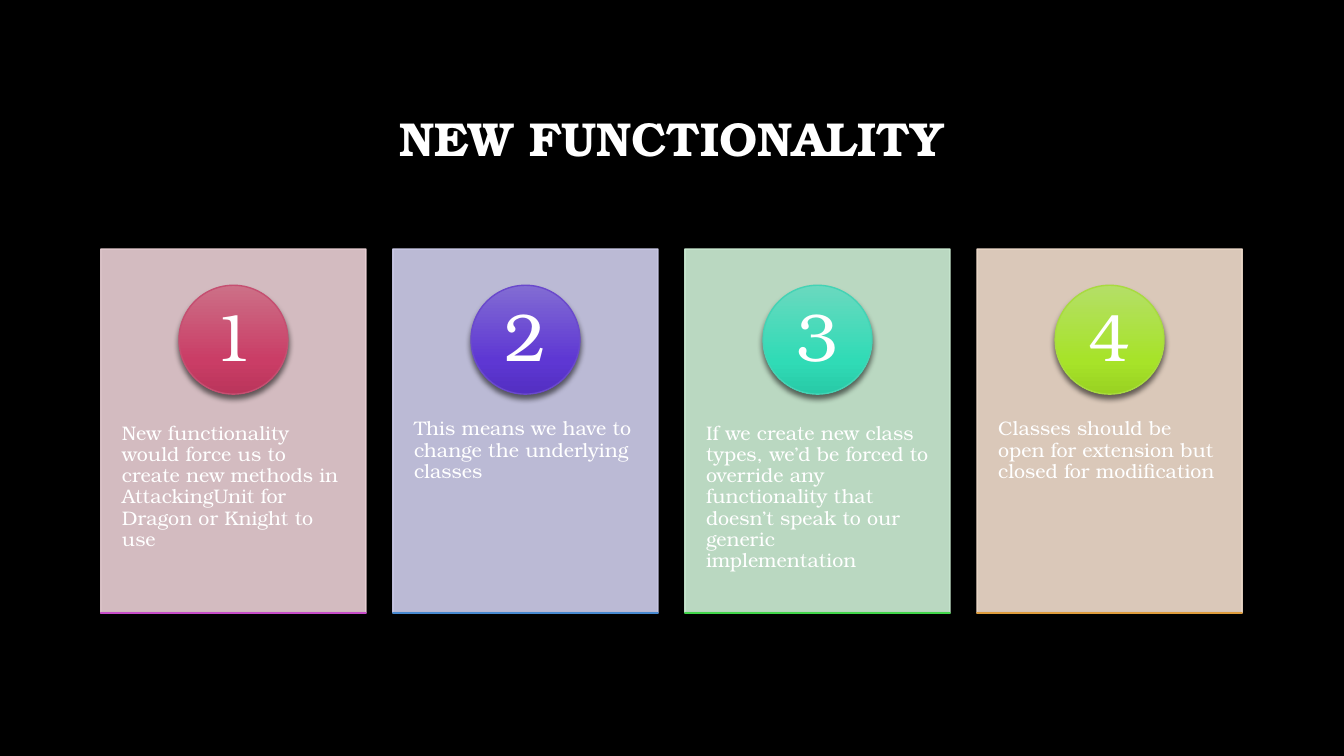
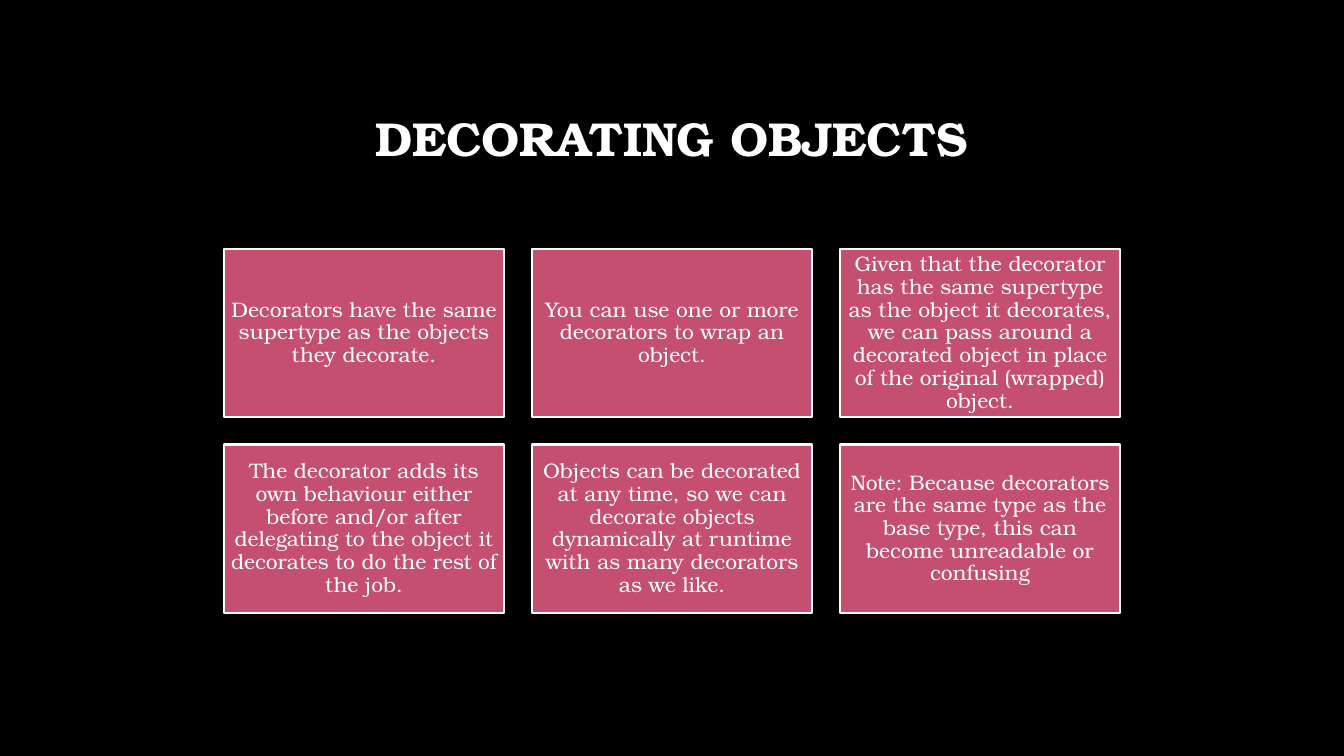
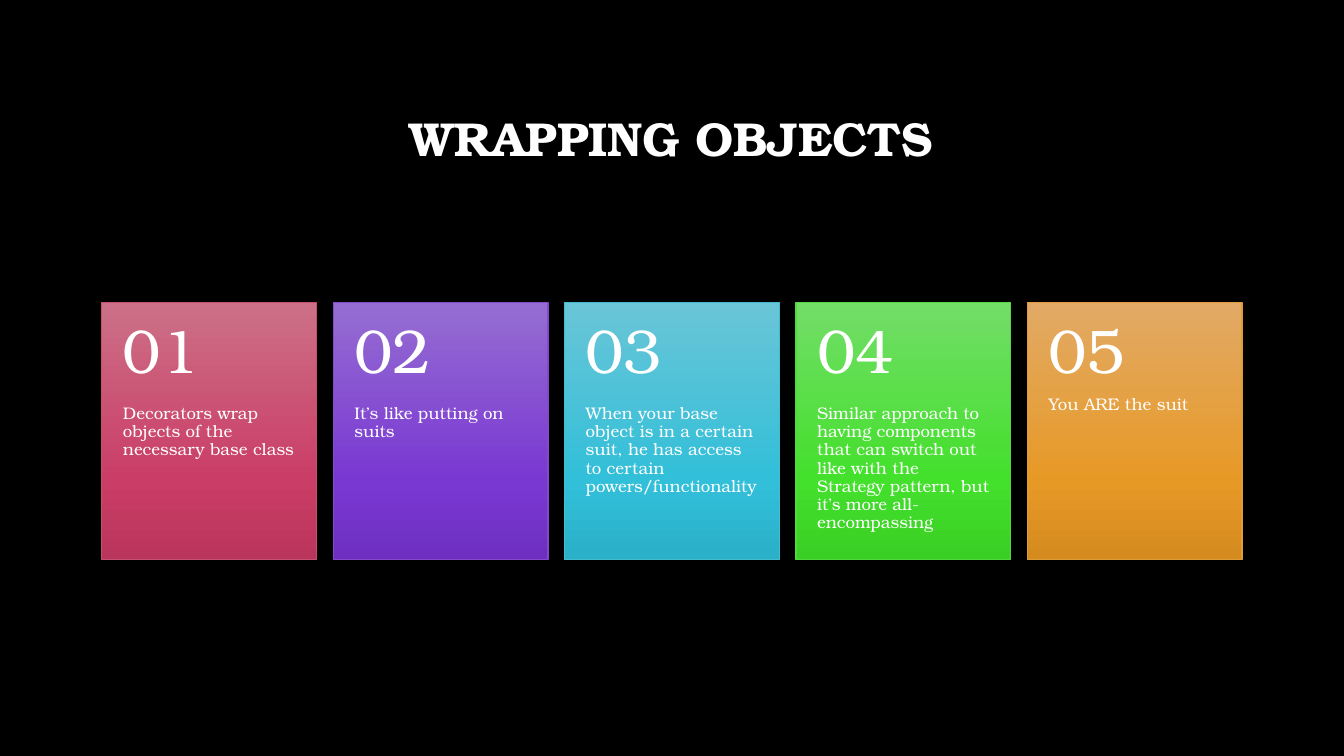
import dataclasses
from typing import Any, NamedTuple, Optional

import lxml.etree
import pptx
import pptx.dml.color
import pptx.enum.shapes
import pptx.enum.text
import pptx.oxml.ns
import pptx.util

Inches = pptx.util.Inches
ALIGN = pptx.enum.text.PP_ALIGN
ANCHOR = pptx.enum.text.MSO_ANCHOR
SHAPE = pptx.enum.shapes.MSO_SHAPE


class Tone(NamedTuple):
    """Gradient from top to bottom, with its outline colour."""
    light: str
    main: str
    dark: str
    edge: str


ROSE = Tone("CC7087", "CA3D66", "BA355B", "C54F71")
MAGENTA = Tone("CD6ECF", "CC3ACE", "BB32BE", "C64CC9")
VIOLET = Tone("826CD3", "5E37D3", "532FC2", "6A49CC")
PURPLE = Tone("956DD2", "7A38D2", "6E2FC1", "824ACB")
BLUE = Tone("6B9AD6", "3382D7", "2B76C6", "4789D0")
CYAN = Tone("6AC5D7", "32BFD9", "2AB0C8", "45BCD2")
TEAL = Tone("6AD9BF", "30DBB6", "28CAA7", "44D3B5")
GREEN = Tone("68DC6D", "2DDF37", "25CE2E", "41D74A")
BRIGHT_GREEN = Tone("73DD68", "43E02C", "3ACF24", "54D841")
LIME = Tone("B4DF67", "A7E329", "99D222", "A8DB3F")
ORANGE = Tone("E2AA66", "E79926", "D68B1F", "DE9C3C")


@dataclasses.dataclass(frozen=True)
class Theme:
    font: str = "TeX Gyre Bonum"
    background: str = "000000"
    text: str = "FFFFFF"
    tile: str = "C54F71"
    title_size: float = 34
    disc_size: float = 48
    number_size: float = 44
    card_size: float = 14
    tile_size: float = 15
    panel_size: float = 12
    line_spacing: float = 0.9
    gradient_stops: tuple[int, ...] = (0, 69, 100)


THEME = Theme()


class Box(NamedTuple):
    """Left, top, width and height in inches."""
    left: float
    top: float
    width: float
    height: float

    def lengths(self) -> list[int]:
        return [Inches(value) for value in self]


class Card(NamedTuple):
    message: str
    paper: str
    disc: Tone
    rule: Tone


class Panel(NamedTuple):
    message: str
    tone: Tone


# Content
CARDS = [
    Card("New functionality would force us to create new methods in "
         "AttackingUnit for Dragon or Knight to use", "EAD0D5", ROSE, MAGENTA),
    Card("This means we have to change the underlying classes",
         "D0CFED", VIOLET, BLUE),
    Card("If we create new class types, we’d be forced to override any "
         "functionality that doesn’t speak to our generic implementation",
         "CFF0D7", TEAL, GREEN),
    Card("Classes should be open for extension but closed for modification",
         "F2DECE", LIME, ORANGE),
]
TILES = [
    "Decorators have the same supertype as the objects they decorate.",
    "You can use one or more decorators to wrap an object.",
    "Given that the decorator has the same supertype as the object it "
    "decorates, we can pass around a decorated object in place of the "
    "original (wrapped) object.",
    "The decorator adds its own behaviour either before and/or after "
    "delegating to the object it decorates to do the rest of the job.",
    "Objects can be decorated at any time, so we can decorate objects "
    "dynamically at runtime with as many decorators as we like.",
    "Note: Because decorators are the same type as the base type, this can "
    "become unreadable or confusing",
]
PANELS = [
    Panel("Decorators wrap objects of the necessary base class", ROSE),
    Panel("It’s like putting on suits", PURPLE),
    Panel("When your base object is in a certain suit, he has access to "
          "certain powers/functionality", CYAN),
    Panel("Similar approach to having components that can switch out like "
          "with the Strategy pattern, but it’s more all-encompassing",
          BRIGHT_GREEN),
    Panel("You ARE the suit", ORANGE),
]


# Drawing helpers
def rgb(color: str) -> pptx.dml.color.RGBColor:
    return pptx.dml.color.RGBColor.from_string(color)


def add_xml(parent: Any, tag: str, **attributes: Any) -> Any:
    return lxml.etree.SubElement(
        parent, pptx.oxml.ns.qn(tag),
        {key: str(value) for key, value in attributes.items()})


def spread(left: float, span: float, size: float, count: int) -> list[float]:
    """Starts of equal items that fill the span with equal gaps."""
    step = (span - size) / (count - 1)
    return [left + index * step for index in range(count)]


def write(holder: Any, text: str, *, size: float, bold: bool = False,
          align: Any = ALIGN.LEFT, anchor: Any = ANCHOR.TOP,
          insets: tuple[float, float] = (0.1, 0.05),
          bottom: Optional[float] = None) -> None:
    """Format text; insets are horizontal and vertical."""
    frame = holder.text_frame
    frame.word_wrap = True
    frame.vertical_anchor = anchor
    frame.margin_left = frame.margin_right = Inches(insets[0])
    frame.margin_top = Inches(insets[1])
    frame.margin_bottom = Inches(insets[1] if bottom is None else bottom)
    paragraph = frame.paragraphs[0]
    paragraph.alignment = align
    paragraph.line_spacing = THEME.line_spacing
    run = paragraph.add_run()
    run.text = text
    run.font.name = THEME.font
    run.font.size = pptx.util.Pt(size)
    run.font.bold = bold
    run.font.color.rgb = rgb(THEME.text)


def add_text(slide: Any, box: Box, text: str, **style: Any) -> None:
    write(slide.shapes.add_textbox(*box.lengths()), text, **style)


def add_flat(slide: Any, box: Box, fill: str, line: str, *,
             line_width: float = 1, opacity: int = 100,
             kind: Any = SHAPE.RECTANGLE) -> Any:
    shape = slide.shapes.add_shape(kind, *box.lengths())
    shape.shadow.inherit = False
    shape.fill.solid()
    shape.fill.fore_color.rgb = rgb(fill)
    shape.line.color.rgb = rgb(line)
    shape.line.width = pptx.util.Pt(line_width)
    if opacity < 100:
        for color in shape.element.spPr.iter(pptx.oxml.ns.qn("a:srgbClr")):
            add_xml(color, "a:alpha", val=opacity * 1000)
    return shape


def add_glossy(slide: Any, box: Box, tone: Tone,
               kind: Any = SHAPE.RECTANGLE) -> Any:
    """Shape with a three-stop gradient and a soft shadow below it."""
    shape = add_flat(slide, box, tone.main, tone.edge, kind=kind)
    shape.fill.gradient()
    shape.fill.gradient_angle = 270
    properties = shape.element.spPr
    stops = properties.find(".//" + pptx.oxml.ns.qn("a:gsLst"))
    for stop in list(stops):
        stops.remove(stop)
    for position, color in zip(THEME.gradient_stops, tone[:3]):
        stop = add_xml(stops, "a:gs", pos=position * 1000)
        add_xml(stop, "a:srgbClr", val=color)
    effects = properties.find(pptx.oxml.ns.qn("a:effectLst"))
    shadow = add_xml(effects, "a:outerShdw", blurRad=pptx.util.Pt(4),
                     dist=pptx.util.Pt(3), dir=5400000, rotWithShape=0)
    shade = add_xml(shadow, "a:srgbClr", val="000000")
    add_xml(shade, "a:alpha", val=54000)
    return shape


def add_titled_slide(deck: Any, title: str) -> Any:
    slide = deck.slides.add_slide(deck.slide_layouts[6])
    add_text(slide, Box(1, 0.67, 11.32, 1.45), title, size=THEME.title_size,
             bold=True, align=ALIGN.CENTER, anchor=ANCHOR.MIDDLE)
    return slide


# Slides
def add_functionality(deck: Any) -> None:
    slide = add_titled_slide(deck, "NEW FUNCTIONALITY")
    top, width, height, disc = 2.47, 2.63, 3.61, 1.08
    lefts = spread(1, 11.32, width, len(CARDS))
    for number, (left, card) in enumerate(zip(lefts, CARDS), 1):
        add_flat(slide, Box(left, top, width, height), card.paper, card.paper,
                 opacity=90)
        add_text(slide, Box(left, 3.84, width, 2.17), card.message,
                 size=THEME.card_size, insets=(0.21, 0.36))
        badge = add_glossy(
            slide, Box(left + (width - disc) / 2, 2.83, disc, disc),
            card.disc, SHAPE.OVAL)
        write(badge, str(number), size=THEME.disc_size, align=ALIGN.CENTER,
              anchor=ANCHOR.MIDDLE, insets=(0.08, 0.01))
        add_glossy(slide, Box(left, top + height, width, 0), card.rule)


def add_decorating(deck: Any) -> None:
    slide = add_titled_slide(deck, "DECORATING OBJECTS")
    width, height = 2.78, 1.67
    lefts = spread(2.22, 8.89, width, 3)
    tops = spread(2.47, 3.61, height, 2)
    spots = [Box(left, top, width, height) for top in tops for left in lefts]
    for spot, message in zip(spots, TILES):
        tile = add_flat(slide, spot, THEME.tile, THEME.text, line_width=1.5)
        write(tile, message, size=THEME.tile_size, align=ALIGN.CENTER,
              anchor=ANCHOR.MIDDLE, insets=(0.06, 0.06))


def add_wrapping(deck: Any) -> None:
    slide = add_titled_slide(deck, "WRAPPING OBJECTS")
    top, width, height, head = 3, 2.13, 2.55, 1.02
    lefts = spread(1.01, 11.31, width, len(PANELS))
    for number, (left, panel) in enumerate(zip(lefts, PANELS), 1):
        add_glossy(slide, Box(left, top, width, height), panel.tone)
        add_text(slide, Box(left, top + head, width, height - head),
                 panel.message, size=THEME.panel_size, insets=(0.21, 0),
                 bottom=0.36)
        add_text(slide, Box(left, top, width, head), f"{number:02d}",
                 size=THEME.number_size, anchor=ANCHOR.MIDDLE,
                 insets=(0.21, 0.18))


def main() -> None:
    deck = pptx.Presentation()
    deck.slide_width = Inches(13.33)
    deck.slide_height = Inches(7.5)
    backdrop = deck.slide_master.background.fill
    backdrop.solid()
    backdrop.fore_color.rgb = rgb(THEME.background)
    add_functionality(deck)
    add_decorating(deck)
    add_wrapping(deck)
    deck.save("out.pptx")


if __name__ == "__main__":
    main()
